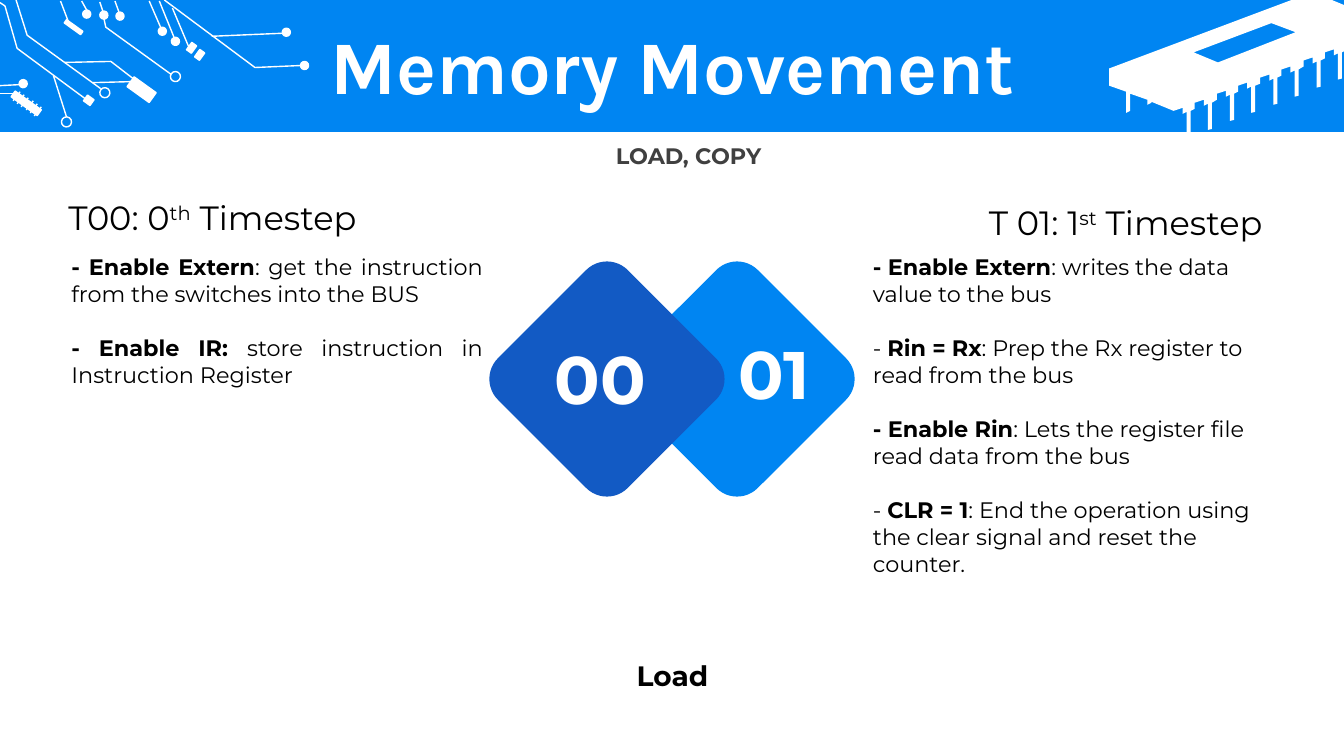
from lxml.etree import SubElement
from pptx import Presentation
from pptx.dml.color import RGBColor
from pptx.enum.shapes import MSO_CONNECTOR, MSO_SHAPE
from pptx.enum.text import MSO_ANCHOR, PP_ALIGN
from pptx.oxml.ns import qn
from pptx.util import Pt

PX = 9144  # 100 px to the inch
W, H = 1333, 750
COLORS = {"white": "FFFFFF", "black": "000000", "grey": "404040",
          "blue": "0085F2", "navy": "125AC4"}

prs = Presentation()
prs.slide_width, prs.slide_height = W * PX, H * PX
s = prs.slides.add_slide(prs.slide_layouts[6])


def paint(sp, fill=None, line=None):
    sp.shadow.inherit = False
    if fill:
        sp.fill.solid()
        sp.fill.fore_color.rgb = RGBColor.from_string(COLORS[fill])
    else:
        sp.fill.background()
    if line:
        sp.line.color.rgb = RGBColor.from_string(COLORS[line])
        sp.line.width = Pt(1)
    else:
        sp.line.fill.background()


def write(text, x, y, w, h, size=16, font="Montserrat", color="black",
          align=PP_ALIGN.LEFT, anchor=MSO_ANCHOR.TOP, gap=0, spacing=None):
    """Add a text box; *stars* mark bold and ^carets^ mark superscript."""
    tf = s.shapes.add_textbox(x * PX, y * PX, w * PX, h * PX).text_frame
    tf.word_wrap = True
    tf.vertical_anchor = anchor
    for n, line in enumerate(text.split("\n")):
        p = tf.paragraphs[0] if n == 0 else tf.add_paragraph()
        p.alignment = align
        p.line_spacing = spacing
        if n:
            p.space_before = Pt(gap)
        for i, chunk in enumerate(line.split("*")):
            for j, piece in enumerate(chunk.split("^")):
                if not piece:
                    continue
                r = p.add_run()
                r.text = piece
                r.font.name, r.font.size = font, Pt(size)
                r.font.bold = i % 2 == 1
                r.font.color.rgb = RGBColor.from_string(COLORS[color])
                if j % 2:
                    r._r.get_or_add_rPr().set("baseline", "30000")


# Header band
band = s.shapes.add_shape(MSO_SHAPE.RECTANGLE, 0, 0, W * PX, 131 * PX)
paint(band, "blue")

# Chip: body, eight pins along its lower right edge, window
chip = [(1281, 0), (1321, 0), (1333, 5), (1333, 51)]
pin = [(1331, 52), (1331, 78), (1327, 79), (1327, 53),
       (1323, 55), (1323, 49), (1314, 52), (1314, 58)]
for n in range(8):
    chip += [(round(x - n * 150 / 7), round(y + n * 58 / 7)) for x, y in pin]
chip.pop()
chip += [(1142, 101), (1142, 102), (1138, 104), (1138, 99), (1121, 93),
         (1121, 110), (1117, 112), (1117, 91), (1100, 85), (1100, 68)]
window = [(1261, 23), (1184, 52), (1208, 62), (1285, 32)]
fb = s.shapes.build_freeform(*chip[0], scale=PX)
fb.add_line_segments(chip[1:])
fb.move_to(*window[0])
fb.add_line_segments(window[1:])
paint(fb.convert_to_shape(), "white")

# Circuit: parts, pads and rings
parts = [(127, 83, 27, 12), (63, 25, 20, 4), (84, 96, 8, 7),
         (187, 43, 6, 9), (195, 50, 6, 9), (10, 99, 32, 7)]
pads = [(298, 61), (280, 28), (82, 10), (99, 11), (115, 12), (19, 79),
        (170, 37), (157, 27)]
rings = [(169, 71), (99, 87), (61, 116)]
pieces = [(MSO_SHAPE.RECTANGLE, box, "white") for box in parts]
pieces += [(MSO_SHAPE.OVAL, (x, y, 8, 8), "white") for x, y in pads]
pieces += [(MSO_SHAPE.OVAL, (x, y, 10, 10), None) for x, y in rings]
for kind, box, fill in pieces:
    sp = s.shapes.add_shape(kind, *(v * PX for v in box))
    sp.rotation = 35.7
    paint(sp, fill, "white")

# Circuit: straight wires, with six teeth across the lower left part
wires = [(60, 1, 68, 22), (81, 1, 86, 10), (99, 2, 102, 11),
         (114, 1, 118, 12), (148, 1, 161, 31), (158, 1, 173, 38),
         (210, 36, 280, 33), (171, 8, 187, 46), (-1, 85, 19, 84),
         (-1, 93, 14, 93), (53, 75, 66, 116), (92, 82, 130, 81)]
for n in range(6):
    dx, dy = round(4.2 * n), 3 * n
    wires.append((13 + dx, 100 + dy, 20 + dx, 91 + dy))
for ends in wires:
    wire = s.shapes.add_connector(MSO_CONNECTOR.STRAIGHT,
                                  *(v * PX for v in ends))
    wire.line.color.rgb = RGBColor.from_string(COLORS["white"])
    wire.line.width = Pt(1)
    SubElement(wire._element.spPr, qn("a:effectLst"))

# Circuit: bent traces
traces = [
    [(163, 0), (253, 67), (299, 65)],
    [(16, 0), (27, 35), (100, 88)],
    [(-1, 2), (5, 6), (17, 48), (86, 99)],
    [(64, 62), (110, 61), (132, 78)],
    [(103, 18), (105, 27), (170, 74)],
]
for trace in traces:
    fb = s.shapes.build_freeform(*trace[0], scale=PX)
    fb.add_line_segments(trace[1:], close=False)
    paint(fb.convert_to_shape(), line="white")

CENTER, MIDDLE = PP_ALIGN.CENTER, MSO_ANCHOR.MIDDLE
write("*Memory Movement*", 34, 30, 1266, 79, size=54, font="Karla",
      color="white", align=CENTER, anchor=MIDDLE, spacing=0.9)

# Timestep diamonds
for x, fill in [(640, "blue"), (511, "navy")]:
    diamond = s.shapes.add_shape(MSO_SHAPE.ROUNDED_RECTANGLE,
                                 x * PX, 285 * PX, 182 * PX, 182 * PX)
    diamond.adjustments[0] = 0.16
    diamond.rotation = 315
    paint(diamond, fill)
for number, x, y, w in [("00", 528, 330, 135), ("01", 709, 325, 118)]:
    write(f"*{number}*", x, y, w, 91, size=48, color="white", align=CENTER)

# Timestep columns
write("T00: 0^th^ Timestep", 58, 190, 415, 50, size=24, anchor=MIDDLE)
write("*- Enable Extern*: get the instruction from the switches into the BUS\n"
      "*- Enable IR: *store instruction in Instruction Register",
      61, 246, 428, 145, align=PP_ALIGN.JUSTIFY, gap=19.5)
write("T 01: 1^st^ Timestep", 861, 195, 401, 50, size=24,
      align=PP_ALIGN.RIGHT, anchor=MIDDLE)
write("*- Enable Extern*: writes the data value to the bus\n"
      "- *Rin = Rx*: Prep the Rx register to read from the bus\n"
      "*- Enable Rin*: Lets the register file read data from the bus\n"
      "- *CLR = 1*: End the operation using the clear signal and reset the "
      "counter.",
      856, 246, 428, 333, gap=19.5)

# Captions
write("*Load*", 410, 648, 514, 44, size=20, align=CENTER, anchor=MIDDLE)
write("*LOAD, COPY*", 426, 136, 514, 37, color="grey", align=CENTER,
      anchor=MIDDLE)

prs.save("out.pptx")
